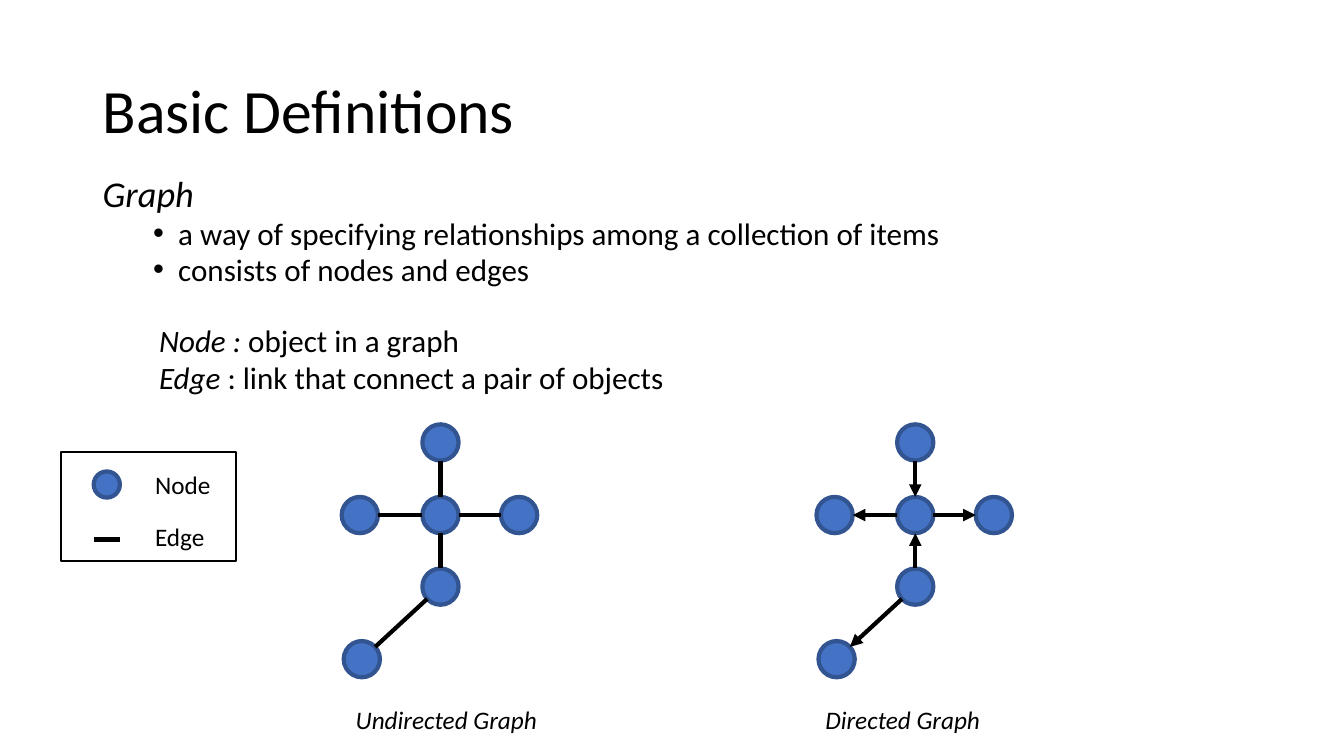
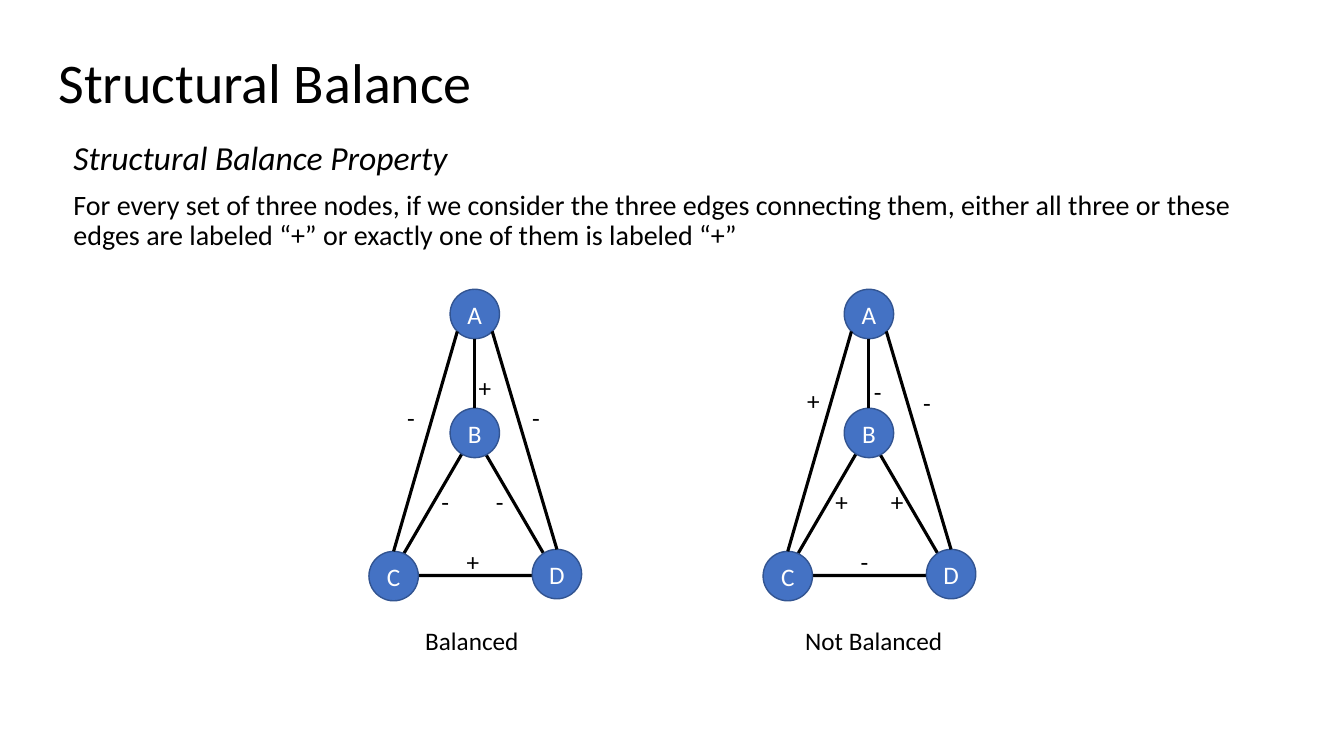
from math import hypot, sqrt
from lxml import etree
from pptx import Presentation, util as u
from pptx.dml.color import RGBColor
from pptx.enum import shapes as sh, text as tx
from pptx.oxml.ns import qn

COLS, ROWS = 133.33, 75
CELL = 91440
FACE, INK, PAPER = "Calibri", "000000", "FFFFFF"
BLUE, RIM = "4472C4", "325491"
KIND = sh.MSO_SHAPE

HUBS = {"top": (9.8, 1.8), "left": (1.8, 9), "right": (17.6, 9),
        "hub": (9.8, 9), "low": (9.8, 16.1), "leaf": (2, 23.3)}
EDGES = [("top", "hub"), ("hub", "left"), ("hub", "right"),
         ("low", "hub"), ("low", "leaf")]
GRAPHS = [((33.9, 42.1), "Undirected Graph", 34.3, False),
          ((81, 42.1), "Directed Graph", 80.9, True)]

PEAKS = {"A": (10.5, 2.45), "B": (10.5, 14.25),
         "C": (2.45, 28.45), "D": (18.65, 28.25)}
TRIADS = [
    ((36.6, 28.7), "Balanced", 41.2,
     [("-", 6.2, 19.1), ("-", 11.6, 19.1), ("+", 8.7, 25),
      ("+", 9.9, 7.7), ("-", 15.2, 10.7), ("-", 2.8, 10.7)]),
    ((75.7, 28.7), "Not Balanced", 78.9,
     [("+", 6.2, 19.1), ("+", 11.7, 19.1), ("-", 8.7, 25),
      ("+", 3.4, 9), ("-", 10, 8.1), ("-", 14.9, 9.2)]),
]


def cells(*vals):
    """Turn grid cells into slide lengths."""
    return [u.Emu(round(v * CELL)) for v in vals]


def tint(hue):
    """Make a colour from a hex string."""
    return RGBColor.from_string(hue)


def style(para, size, hue=INK, slant=None):
    """Set the font of a whole paragraph."""
    font = para.font
    font.name, font.size, font.italic = FACE, u.Pt(size), slant
    font.color.rgb = tint(hue)


def stroke(line, hue, width):
    """Set the colour and width of a line."""
    line.color.rgb = tint(hue)
    line.width = u.Pt(width)


def bullet(para):
    """Give a paragraph a hanging round bullet."""
    props = para._p.get_or_add_pPr()
    props.set("marL", str(u.Inches(0.75)))
    props.set("indent", str(-u.Inches(0.25)))
    etree.SubElement(props, qn("a:buFont")).set("typeface", "Arial")
    etree.SubElement(props, qn("a:buChar")).set("char", "•")


def write(slide, box, rows, lead=None, wrap=True):
    """Place a text box; each row is runs, size, slant, gap and dot."""
    frame = slide.shapes.add_textbox(*cells(*box)).text_frame
    frame.word_wrap = wrap
    for i, (runs, size, slant, gap, dot) in enumerate(rows):
        para = frame.add_paragraph() if i else frame.paragraphs[0]
        if dot:
            bullet(para)
        style(para, size, slant=slant)
        para.line_spacing = lead
        para.space_before = u.Pt(gap)
        for words, lean in runs:
            run = para.add_run()
            run.text = words
            if lean is not None:
                run.font.italic = lean


def label(slide, words, x, y, wide=25, slant=None):
    """Place one line of small text."""
    write(slide, (x, y, wide, 4), [([(words, None)], 18, slant, 0, False)])


def shape(slide, kind, box, fill, hue, width):
    """Add a flat preset shape, unfilled when fill is None."""
    item = slide.shapes.add_shape(kind, *cells(*box))
    item.shadow.inherit = False
    if fill:
        item.fill.solid()
        item.fill.fore_color.rgb = tint(fill)
    else:
        item.fill.background()
    stroke(item.line, hue, width)
    return item


def node(slide, mid, size, width, name=""):
    """Draw a round node about its centre."""
    x, y = mid
    item = shape(slide, KIND.OVAL, (x - size / 2, y - size / 2, size, size),
                 BLUE, RIM, width)
    if name:
        frame = item.text_frame
        frame.margin_left = frame.margin_right = 0
        frame.vertical_anchor = tx.MSO_ANCHOR.MIDDLE
        para = frame.paragraphs[0]
        para.text = name
        para.alignment = tx.PP_ALIGN.CENTER
        style(para, 18, PAPER)


def link(slide, start, end, width, arrow=False):
    """Draw a straight edge, with an arrowhead if asked."""
    item = slide.shapes.add_connector(sh.MSO_CONNECTOR.STRAIGHT,
                                      *cells(*start, *end))
    stroke(item.line, INK, width)
    if arrow:
        line = item.line._get_or_add_ln()
        etree.SubElement(line, qn("a:tailEnd")).set("type", "triangle")
    etree.SubElement(item._element.spPr, qn("a:effectLst"))


def shift(base, dx, dy):
    """Move a point by an offset."""
    return base[0] + dx, base[1] + dy


def graph(slide, base, arrow):
    """Draw the six-node graph from its top left corner."""
    size = 3.6
    spots = {key: shift(base, *spot) for key, spot in HUBS.items()}
    for spot in spots.values():
        node(slide, spot, size, 3)
    for one, two in EDGES:
        (ax, ay), (bx, by) = spots[one], spots[two]
        part = size / 2 / hypot(bx - ax, by - ay)
        dx, dy = (bx - ax) * part, (by - ay) * part
        link(slide, (ax + dx, ay + dy), (bx - dx, by - dy), 3, arrow)


def legend(slide, box):
    """Draw the framed key to nodes and edges."""
    x, y, wide, high = box
    shape(slide, KIND.RECTANGLE, box, None, INK, 1.5)
    node(slide, (x + 4.5, y + 0.3 * high), 2.6, 3)
    link(slide, (x + 3.2, y + 0.8 * high), (x + 5.8, y + 0.8 * high), 3)
    for i, words in enumerate(("Node", "Edge")):
        label(slide, words, x + 8.3, y + 1.3 + 5.1 * i, 10.8)


def triad(slide, base, signs):
    """Draw the signed four-node graph from its top left corner."""
    size, width = 4.9, 2.25
    rad = size / 2
    spots = {key: shift(base, *spot) for key, spot in PEAKS.items()}
    shape(slide, KIND.ISOSCELES_TRIANGLE,
          (*shift(base, 2.2, 14.3), 16.4, 14.1), None, INK, width)
    for name, spot in spots.items():
        node(slide, spot, size, 1, name)
    side = rad / sqrt(2)
    for dx, dy, name in ((0, rad, "B"), (-side, side, "C"), (side, side, "D")):
        link(slide, shift(spots["A"], dx, dy), shift(spots[name], 0, -rad), width)
    for sign, dx, dy in signs:
        label(slide, sign, *shift(base, dx, dy), 3.3)


def page(deck, words, box, size):
    """Add a slide with a formatted title."""
    slide = deck.slides.add_slide(deck.slide_layouts[5])
    head = slide.shapes.title
    head.left, head.top, head.width, head.height = cells(*box)
    frame = head.text_frame
    frame.vertical_anchor = tx.MSO_ANCHOR.MIDDLE
    para = frame.paragraphs[0]
    para.text = words
    para.alignment = tx.PP_ALIGN.LEFT
    para.line_spacing = 0.9
    style(para, size)
    return slide


def basics(deck):
    """Build the slide of definitions."""
    slide = page(deck, "Basic Definitions", (9.2, 4, 115, 14.5), 44)
    points = ("a way of specifying relationships among a collection of items",
              "consists of nodes and edges")
    write(slide, (9.2, 17.3, 116.3, 12.8),
          [([("Graph", None)], 25.9, True, 10, False)]
          + [([(point, None)], 22.2, None, 5, True) for point in points], 0.8)
    terms = (("Node :", " object in a graph"),
             ("Edge ", ": link that connect a pair of objects"))
    write(slide, (14.8, 32.1, 110, 8),
          [([(term, True), (rest, None)], 22.2, None, 5, False)
           for term, rest in terms], 0.8)
    legend(slide, (6.1, 44.8, 17.3, 10.9))
    for base, words, left, arrow in GRAPHS:
        graph(slide, base, arrow)
        label(slide, words, left, 69.4, slant=True)


def balance(deck):
    """Build the slide of signed graphs."""
    slide = page(deck, "Structural Balance", (4.8, 1.1, 110.4, 14.7), 40)
    rule = ("For every set of three nodes, if we consider the three edges "
            "connecting them, either all three or these edges are labeled "
            "“+” or exactly one of them is labeled “+”")
    write(slide, (6.3, 13.5, 120.7, 17.4),
          [([("Structural Balance Property", None)], 24, True, 10, False),
           ([(rule, None)], 20, None, 10, False)], 0.9)
    for base, words, left, signs in TRIADS:
        triad(slide, base, signs)
        label(slide, words, left, 61.5)


def main():
    """Build and save the deck."""
    deck = Presentation()
    deck.slide_width, deck.slide_height = cells(COLS, ROWS)
    basics(deck)
    balance(deck)
    deck.save("out.pptx")


if __name__ == "__main__":
    main()
